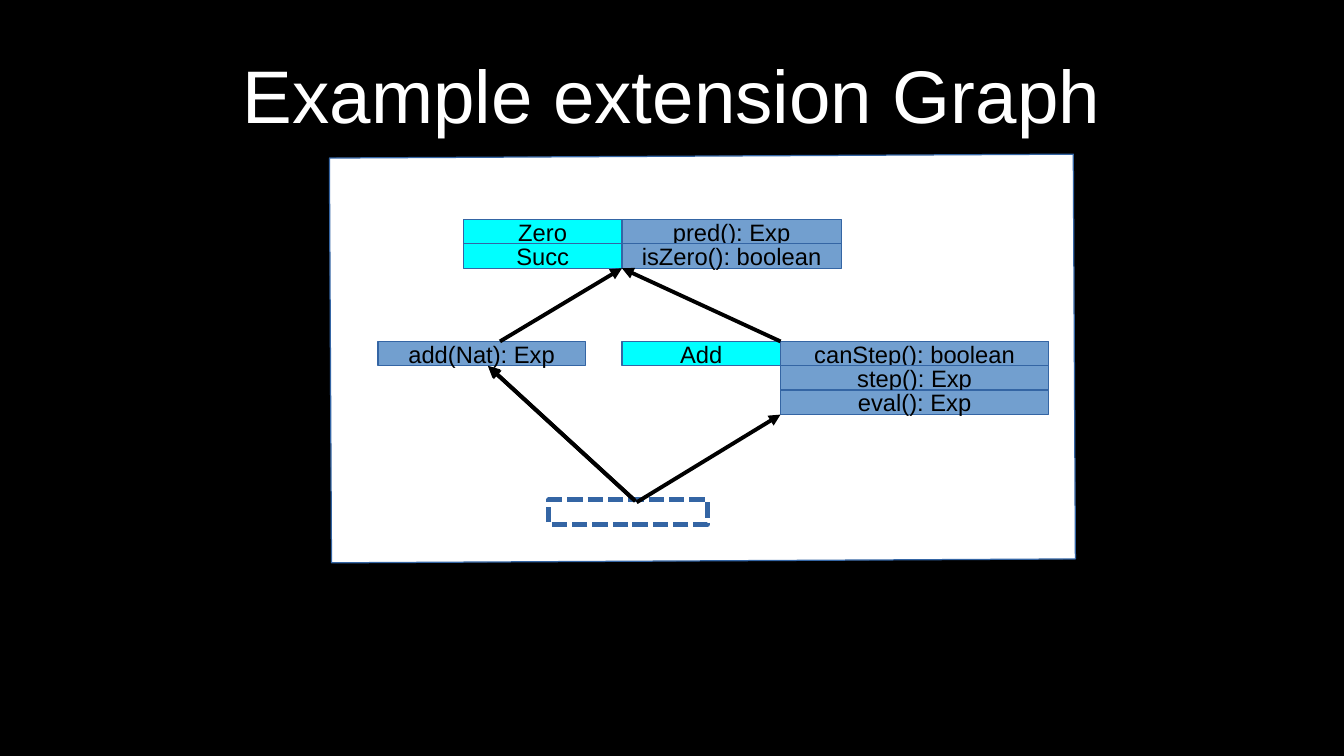
from lxml.etree import SubElement
from pptx import Presentation
from pptx.dml.color import RGBColor
from pptx.enum.dml import MSO_LINE
from pptx.enum.shapes import MSO_CONNECTOR, MSO_SHAPE
from pptx.enum.text import MSO_ANCHOR, PP_ALIGN
from pptx.oxml.ns import qn
from pptx.util import Inches, Pt


def rgb(color):
    return RGBColor.from_string(color)


def add_box(x, y, w, h, fill, text="", line_width=0):
    sp = s.shapes.add_shape(MSO_SHAPE.RECTANGLE, Inches(x), Inches(y), Inches(w), Inches(h))
    sp.shadow.inherit = False
    sp.fill.solid()
    sp.fill.fore_color.rgb = rgb(fill)
    sp.line.color.rgb = rgb("3465A4")
    sp.line.width = Pt(line_width)
    if text:
        tf = sp.text_frame
        tf.word_wrap = False
        tf.vertical_anchor = MSO_ANCHOR.MIDDLE
        p = tf.paragraphs[0]
        p.text = text
        p.alignment = PP_ALIGN.CENTER
        p.font.name = "Arial"
        p.font.size = Pt(14)
        p.font.color.rgb = rgb("000000")
    return sp


prs = Presentation()
prs.slide_width = Inches(11.02)
prs.slide_height = Inches(6.2)
s = prs.slides.add_slide(prs.slide_layouts[5])
s.background.fill.solid()
s.background.fill.fore_color.rgb = rgb("000000")

title = s.shapes.title
title.left, title.top = Inches(0.55), Inches(0.25)
title.width, title.height = Inches(9.92), Inches(1.04)
tf = title.text_frame
tf.margin_left = tf.margin_right = tf.margin_top = tf.margin_bottom = 0
tf.vertical_anchor = MSO_ANCHOR.MIDDLE
p = tf.paragraphs[0]
p.text = "Example extension Graph"
p.alignment = PP_ALIGN.CENTER
p.font.name = "Arial"
p.font.size = Pt(44)
p.font.color.rgb = rgb("FFFFFF")

panel = add_box(2.71, 1.28, 6.1, 3.32, "FFFFFF")
panel.rotation = 359.7

ROW_HEIGHT = 0.2
DATA, OPERATION = "00FFFF", "729FCF"
stacks = [
    (3.8, 1.8, 1.3, DATA, ["Zero", "Succ"]),
    (5.1, 1.8, 1.8, OPERATION, ["pred(): Exp", "isZero(): boolean"]),
    (3.1, 2.8, 1.7, OPERATION, ["add(Nat): Exp"]),
    (5.1, 2.8, 1.3, DATA, ["Add"]),
    (6.4, 2.8, 2.2, OPERATION, ["canStep(): boolean", "step(): Exp", "eval(): Exp"]),
]
for x, y, w, fill, labels in stacks:
    for row, label in enumerate(labels):
        add_box(x, y + row * ROW_HEIGHT, w, ROW_HEIGHT, fill, label)

merge = add_box(4.5, 4.1, 1.3, ROW_HEIGHT, "FFFFFF", line_width=3)
merge.line.dash_style = MSO_LINE.SQUARE_DOT

arrows = [
    (4.1, 2.8, 5.1, 2.2),
    (6.4, 2.8, 5.1, 2.2),
    (5.2, 4.1, 4, 3),
    (5.21, 4.11, 4.01, 3.01),
    (5.22, 4.12, 6.4, 3.4),
]
for ends in arrows:
    arrow = s.shapes.add_connector(MSO_CONNECTOR.STRAIGHT, *map(Inches, ends))
    arrow.line.color.rgb = rgb("000000")
    arrow.line.width = Pt(2.3)
    SubElement(arrow.line._get_or_add_ln(), qn("a:tailEnd"), type="triangle")
    SubElement(arrow._element.spPr, qn("a:effectLst"))

prs.save("out.pptx")
